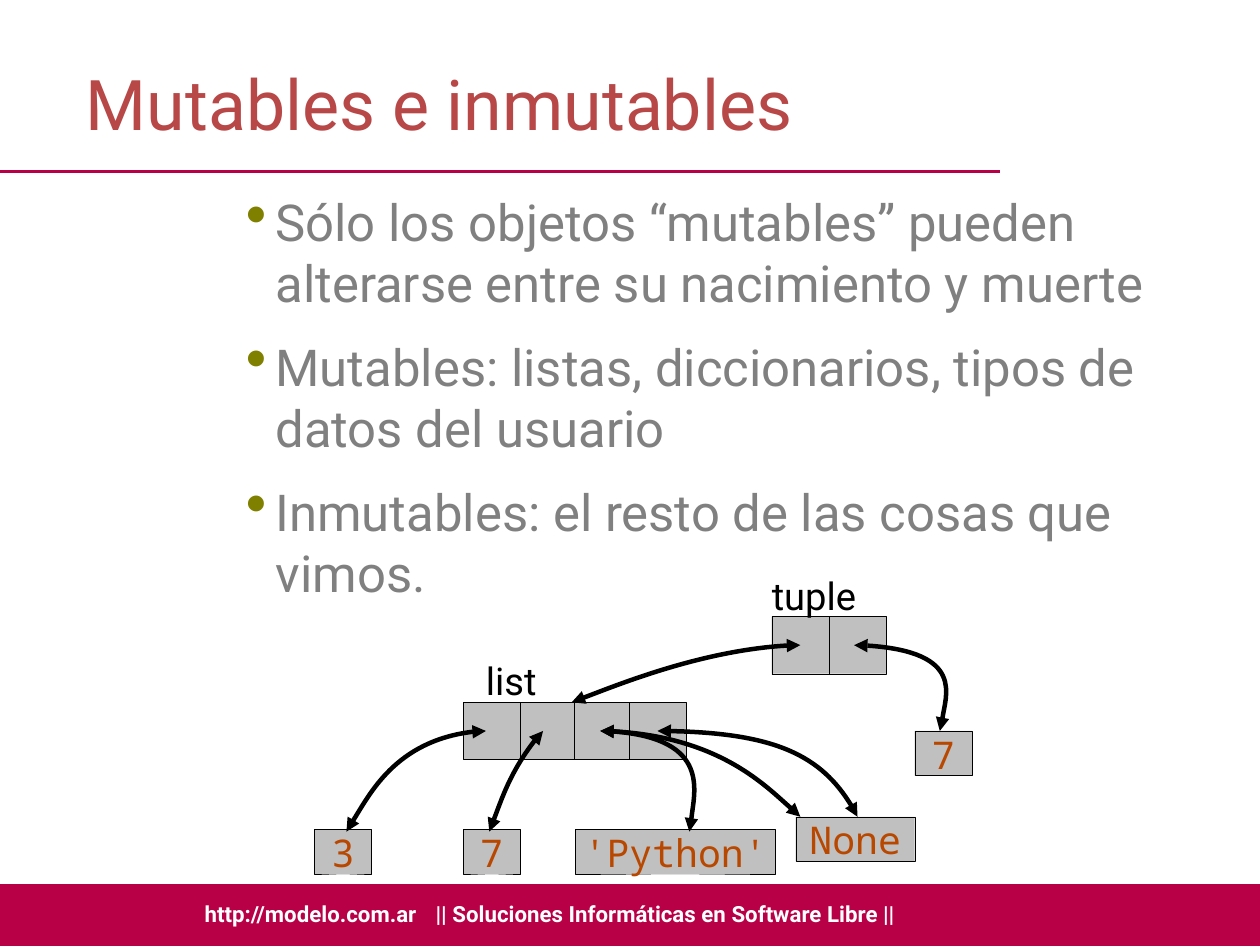
"""Build a slide about mutable and immutable objects."""
from dataclasses import dataclass

from lxml.etree import SubElement
from pptx import Presentation
from pptx.dml.color import RGBColor
from pptx.enum.shapes import MSO_CONNECTOR, MSO_SHAPE
from pptx.enum.text import MSO_ANCHOR, PP_ALIGN
from pptx.oxml.ns import qn
from pptx.util import Inches, Pt


@dataclass(frozen=True)
class Theme:
    """Hold the colours, fonts and sizes of the slide."""
    brand: str = "B80047"
    title: str = "B84747"
    body: str = "808080"
    bullet: str = "808000"
    cell: str = "C0C0C0"
    value: str = "B84700"
    ink: str = "000000"
    paper: str = "FFFFFF"
    text_font: str = "Roboto"
    code_font: str = "Noto Sans Mono"
    title_size: int = 44
    body_size: int = 32
    label_size: int = 24
    footer_size: int = 14
    hairline: float = 0.1
    rule_width: float = 2.15
    arrow_width: float = 2.83


THEME = Theme()
CELL_HEIGHT = 0.5
VALUE_HEIGHT = 0.39

BULLETS = (
    "Sólo los objetos “mutables” pueden alterarse entre su nacimiento y muerte",
    "Mutables: listas, diccionarios, tipos de datos del usuario",
    "Inmutables: el resto de las cosas que vimos.",
)
FOOTER = (
    ("http://modelo.com.ar", 1.79, 2),
    ("|| Soluciones Informáticas en Software Libre ||", 3.81, 4.5),
)
VALUES = (
    ("3", 2.75, 7.25, 0.5),
    ("7", 4.05, 7.25, 0.5),
    ("'Python'", 5.03, 7.25, 1.75),
    ("7", 8, 6.39, 0.5),
    ("None", 6.96, 7.14, 1.04),
)
RECORDS = (
    ("list", 4.25, 6.14, (4.05, 4.55, 5.02, 5.5, 6)),
    ("tuple", 6.75, 5.39, (6.75, 7.25, 7.75)),
)
ARROWS = (
    ((4.25, 6.39), (3.5, 6.39), (3.03, 7.27), (3.03, 7.27)),
    ((4.75, 6.39), (4.5, 6.64), (4.28, 7.27), (4.28, 7.27)),
    ((5.25, 6.39), (6.25, 6.39), (6.03, 7.27), (6.03, 7.27)),
    ((7.47, 5.64), (8.47, 5.64), (8.22, 6.39), (8.22, 6.39)),
    ((7, 5.64), (6.25, 5.64), (5, 6.14), (5, 6.14)),
    ((5.75, 6.39), (6.75, 6.39), (7.25, 6.64), (7.5, 7.14)),
    ((5.25, 6.39), (6.25, 6.39), (7, 7.14), (7, 7.14)),
)


def color(value):
    """Turn a hexadecimal string into a colour."""
    return RGBColor.from_string(value)


def style_text(shape, size, ink, font=THEME.text_font, bold=False,
               align=PP_ALIGN.LEFT, anchor=MSO_ANCHOR.TOP, wrap=True):
    """Format the frame and every run of a shape."""
    frame = shape.text_frame
    frame.margin_left = frame.margin_right = 0
    frame.margin_top = frame.margin_bottom = 0
    frame.word_wrap = wrap
    frame.vertical_anchor = anchor
    for para in frame.paragraphs:
        para.alignment = align
        for span in para.runs:
            span.font.name = font
            span.font.size = Pt(size)
            span.font.bold = bold
            span.font.color.rgb = color(ink)


def add_text(page, text, left, top, width, height, size, ink, **style):
    """Add a text box and format its text."""
    box = page.shapes.add_textbox(
        Inches(left), Inches(top), Inches(width), Inches(height))
    box.text_frame.text = text
    style_text(box, size, ink, **style)
    return box


def add_box(page, left, top, width, height, fill, outlined=True):
    """Add a flat rectangle with an optional hairline outline."""
    box = page.shapes.add_shape(
        MSO_SHAPE.RECTANGLE,
        Inches(left), Inches(top), Inches(width), Inches(height))
    box.shadow.inherit = False
    box.fill.solid()
    box.fill.fore_color.rgb = color(fill)
    if outlined:
        box.line.color.rgb = color(THEME.ink)
        box.line.width = Pt(THEME.hairline)
    else:
        box.line.fill.background()
    return box


def add_line(page, start, end, ink, width):
    """Add a straight line without a shadow."""
    line = page.shapes.add_connector(
        MSO_CONNECTOR.STRAIGHT, *map(Inches, start), *map(Inches, end))
    line.line.color.rgb = color(ink)
    line.line.width = Pt(width)
    SubElement(line.element.spPr, qn("a:effectLst"))


def add_arrow(page, start, *controls):
    """Add a cubic curve with an arrowhead at both ends."""
    builder = page.shapes.build_freeform(*map(Inches, start))
    builder.add_line_segments(
        [tuple(map(Inches, point)) for point in controls], close=False)
    arrow = builder.convert_to_shape()
    arrow.shadow.inherit = False
    arrow.fill.background()
    arrow.line.color.rgb = color(THEME.ink)
    arrow.line.width = Pt(THEME.arrow_width)

    outline = arrow.element.find(".//" + qn("a:path"))
    curve = SubElement(outline, qn("a:cubicBezTo"))
    for segment in outline.findall(qn("a:lnTo")):
        curve.append(segment[0])
        outline.remove(segment)
    stroke = arrow.element.spPr.find(qn("a:ln"))
    for end in ("a:headEnd", "a:tailEnd"):
        SubElement(stroke, qn(end), type="triangle")


def add_record(page, name, name_left, top, edges):
    """Add a named row of cells split at the given edges."""
    add_box(page, edges[0], top, edges[-1] - edges[0], CELL_HEIGHT, THEME.cell)
    for edge in edges[1:-1]:
        add_line(page, (edge, top), (edge, top + CELL_HEIGHT),
                 THEME.ink, THEME.hairline)
    add_text(page, name, name_left, top - VALUE_HEIGHT, 0.85, VALUE_HEIGHT,
             THEME.label_size, THEME.ink, wrap=False)


def add_value(page, text, left, top, width):
    """Add a box that shows one Python value."""
    box = add_box(page, left, top, width, VALUE_HEIGHT, THEME.cell)
    box.text_frame.text = text
    style_text(box, THEME.label_size, THEME.value, font=THEME.code_font,
               align=PP_ALIGN.CENTER)


def add_bullets(page):
    """Add the bulleted statements."""
    box = add_text(page, "\n".join(BULLETS), 2.15, 1.67, 8.28, 5.46,
                   THEME.body_size, THEME.body)
    for para in box.text_frame.paragraphs:
        para.space_after = Pt(14.2)
        properties = para._p.get_or_add_pPr()
        properties.set("marL", str(Inches(0.26)))
        properties.set("indent", str(Inches(-0.26)))
        tint = SubElement(properties, qn("a:buClr"))
        SubElement(tint, qn("a:srgbClr"), val=THEME.bullet)
        SubElement(properties, qn("a:buSzPct"), val="120000")
        SubElement(properties, qn("a:buChar"), char="•")


def set_title(page, text):
    """Place and format the title placeholder."""
    title = page.shapes.title
    title.left, title.top = Inches(0.75), Inches(0.51)
    title.width, title.height = Inches(8), Inches(0.78)
    title.text_frame.text = text
    style_text(title, THEME.title_size, THEME.title, anchor=MSO_ANCHOR.MIDDLE)


def add_footer(page):
    """Add the coloured band and its two texts."""
    add_box(page, 0, 7.73, 11.02, 0.54, THEME.brand, outlined=False)
    for text, left, width in FOOTER:
        add_text(page, text, left, 7.87, width, 0.23, THEME.footer_size,
                 THEME.paper, bold=True, wrap=False)


def main():
    """Build the deck and save it."""
    deck = Presentation()
    deck.slide_width, deck.slide_height = Inches(11.02), Inches(8.27)
    page = deck.slides.add_slide(deck.slide_layouts[5])
    add_line(page, (0, 1.5), (8.75, 1.5), THEME.brand, THEME.rule_width)
    add_footer(page)
    set_title(page, "Mutables e inmutables")
    add_bullets(page)
    for record in RECORDS:
        add_record(page, *record)
    for value in VALUES:
        add_value(page, *value)
    for arrow in ARROWS:
        add_arrow(page, *arrow)
    deck.save("out.pptx")


if __name__ == "__main__":
    main()
